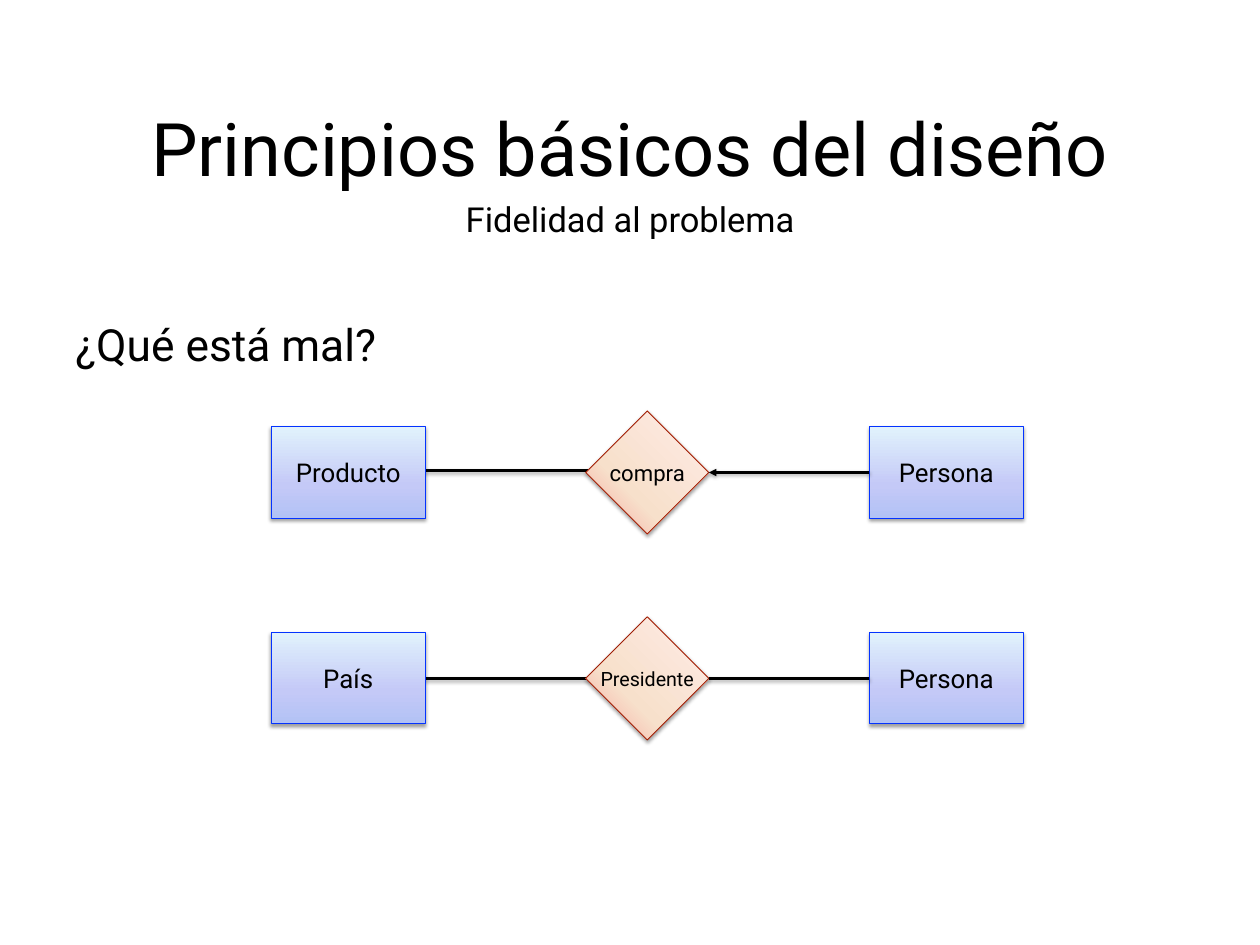
from lxml.etree import SubElement
from pptx import Presentation
from pptx.dml.color import RGBColor
from pptx.enum.shapes import MSO_CONNECTOR, MSO_SHAPE
from pptx.enum.text import MSO_ANCHOR, PP_ALIGN
from pptx.oxml.ns import qn
from pptx.util import Inches, Pt

BLACK = RGBColor(0x00, 0x00, 0x00)
BLUE = RGBColor(0x04, 0x33, 0xFF)
RED = RGBColor(0xA0, 0x1D, 0x04)
COOL = [(0, RGBColor(0xB2, 0xC2, 0xF5)), (36, RGBColor(0xC4, 0xC9, 0xF7)),
        (100, RGBColor(0xE1, 0xF2, 0xFC))]
WARM = [(0, RGBColor(0xF5, 0xA0, 0x9A)), (35, RGBColor(0xF7, 0xE0, 0xCB)),
        (100, RGBColor(0xFF, 0xEB, 0xE7))]


def write(shape, text, size, align, inset, wrap):
    frame = shape.text_frame
    frame.text = text
    frame.word_wrap = wrap
    frame.vertical_anchor = MSO_ANCHOR.MIDDLE
    frame.margin_left = frame.margin_right = Inches(inset)
    frame.margin_top = frame.margin_bottom = Inches(inset)
    par = frame.paragraphs[0]
    par.alignment = align
    par.font.name = "Roboto"
    par.font.size = Pt(size)
    par.font.color.rgb = BLACK


def style(item, color, width):
    """Set the outline, then the soft shadow below it."""
    item.line.color.rgb = color
    item.line.width = Pt(width)
    effects = SubElement(item._element.spPr, qn("a:effectLst"))
    shade = SubElement(effects, qn("a:outerShdw"), blurRad=str(Pt(3)),
                       dist=str(Pt(1.6)), dir="5400000", rotWithShape="0")
    tint = SubElement(shade, qn("a:srgbClr"), val=str(BLACK))
    SubElement(tint, qn("a:alpha"), val="37000")


deck = Presentation()
deck.slide_width, deck.slide_height = Inches(14.22), Inches(10.67)
slide = deck.slides.add_slide(deck.slide_layouts[5])
shapes = slide.shapes

# Title, question and subtitle
title = shapes.title
title.left, title.top = Inches(1.58), Inches(1.12)
title.width, title.height = Inches(11.05), Inches(1.09)
write(title, "Principios básicos del diseño", 60, PP_ALIGN.CENTER, 0.06, True)
for text, size, align, box in [
        ("¿Qué está mal?", 36, PP_ALIGN.JUSTIFY, (0.79, 3.54, 12.64, 0.69)),
        ("Fidelidad al problema", 28, PP_ALIGN.CENTER, (4.12, 2.18, 5.98, 0.57))]:
    label = shapes.add_textbox(*[Inches(v) for v in box])
    write(label, text, size, align, 0.06, True)

# One row per relation: entity, relation, entity
ROWS = [("Producto", "compra", 18, 5.31, True),
        ("País", "Presidente", 16, 7.66, False)]
for row, (thing, verb, size, level, arrow) in enumerate(ROWS):
    mid = 5.335 + 2.325 * row

    # Left link runs behind both shapes
    link = shapes.add_connector(MSO_CONNECTOR.STRAIGHT, Inches(3.93), Inches(level),
                                Inches(7.3), Inches(level))
    style(link, BLACK, 2)

    nodes = []
    for kind, text, points, left, wide, high, stops, angle, edge in [
            (MSO_SHAPE.RECTANGLE, thing, 21, 3.06, 1.74, 1.03, COOL, 270, BLUE),
            (MSO_SHAPE.DIAMOND, verb, size, 6.61, 1.39, 1.39, WARM, 315, RED),
            (MSO_SHAPE.RECTANGLE, "Persona", 21, 9.81, 1.74, 1.03, COOL, 270, BLUE)]:
        node = shapes.add_shape(kind, Inches(left), Inches(mid - high / 2),
                                Inches(wide), Inches(high))
        node.fill.gradient()
        node.fill.gradient_angle = 360 - angle
        ramp = node._element.spPr.find(".//" + qn("a:gsLst"))
        ramp.clear()
        for pos, color in stops:
            stop = SubElement(ramp, qn("a:gs"), pos=str(pos * 1000))
            SubElement(stop, qn("a:srgbClr"), val=str(color))
        style(node, edge, 0.75)
        write(node, text, points, PP_ALIGN.CENTER, 0, False)
        nodes.append(node)

    # Right link joins the relation to the person
    link = shapes.add_connector(MSO_CONNECTOR.STRAIGHT, Inches(8), Inches(mid),
                                Inches(9.81), Inches(mid))
    link.begin_connect(nodes[1], 3)
    link.end_connect(nodes[2], 1)
    style(link, BLACK, 2)
    if arrow:
        SubElement(link.line._get_or_add_ln(), qn("a:headEnd"), type="triangle")

deck.save("out.pptx")
